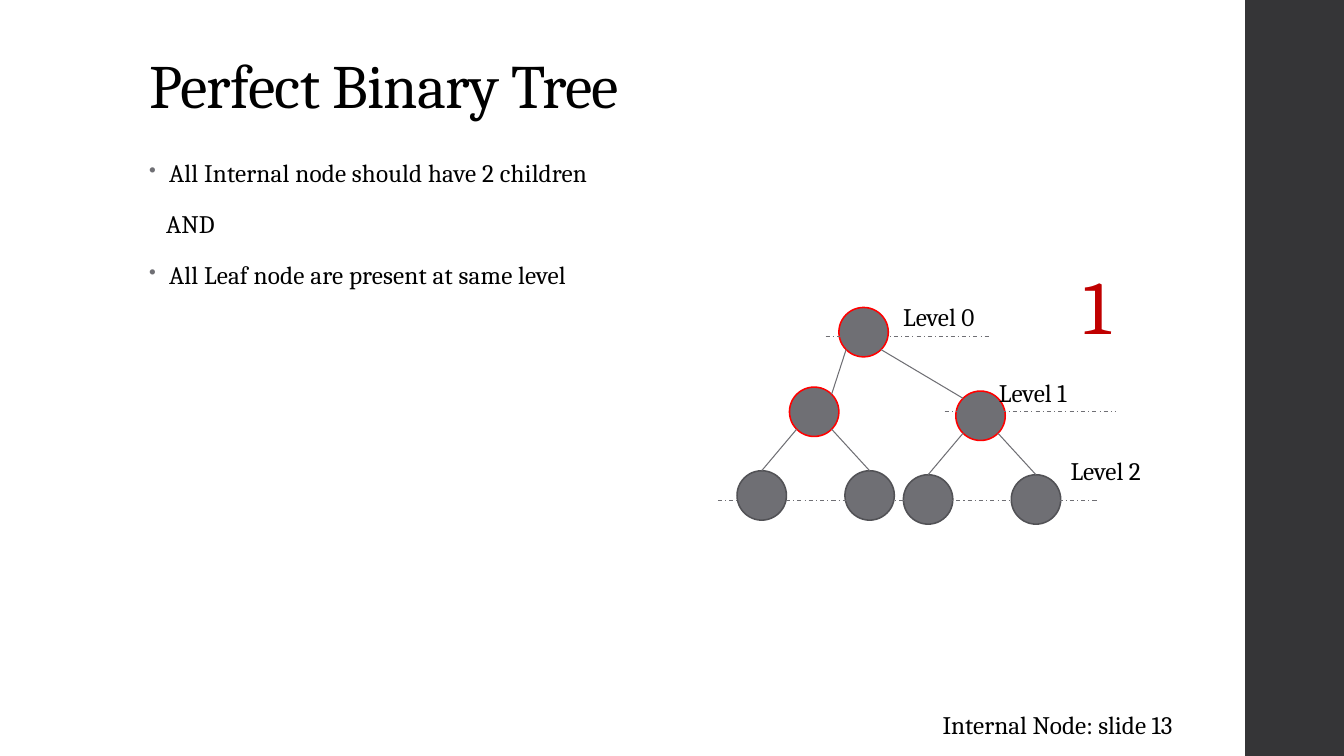
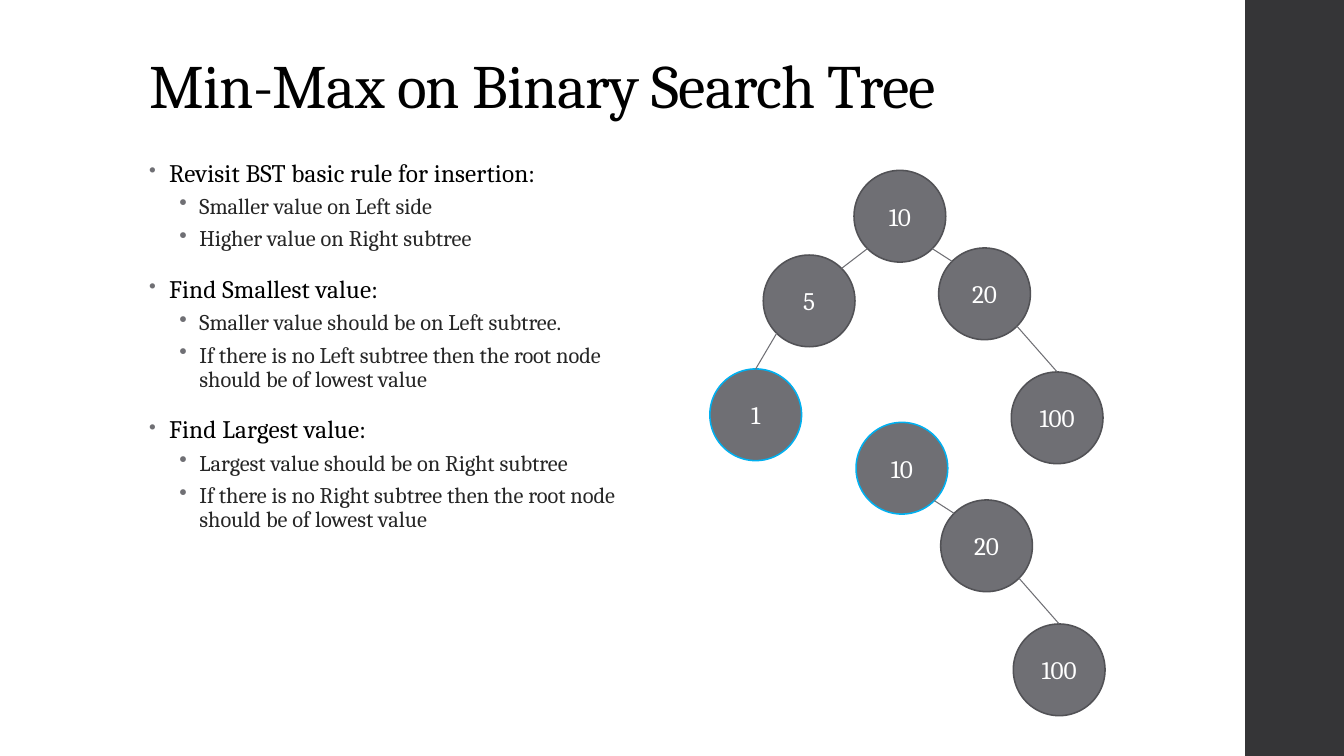
"""Build two slides on binary trees."""
from dataclasses import dataclass
from math import sqrt

from lxml import etree
from pptx import Presentation
from pptx.dml.color import RGBColor
from pptx.enum import dml, shapes, text
from pptx.oxml.ns import qn
from pptx.util import Inches, Pt


@dataclass(frozen=True)
class Theme:
    """Colours and type sizes of the deck."""
    font: str = "Cambria"
    band: str = "353537"
    ink: str = "000000"
    soft_ink: str = "262626"
    white: str = "FFFFFF"
    grey: str = "6F6F74"
    outline: str = "525256"
    internal: str = "FF0000"
    found: str = "00B0F0"
    number: str = "C00000"
    title_size: float = 44
    body_size: float = 18
    sub_size: float = 16
    number_size: float = 54


@dataclass(frozen=True)
class Node:
    """A tree node with its place, outline and parent."""
    left: float
    top: float
    label: str = ""
    outline: str = "525256"
    parent: "Node" = None


THEME = Theme()
CORNER = (1 - sqrt(0.5)) / 2


def rgb(colour):
    """Turn a hex string into a colour."""
    return RGBColor.from_string(colour)


def box(left, top, width, height):
    """Give a rectangle in inches as lengths."""
    return [Inches(value) for value in (left, top, width, height)]


def style(paragraph, size, colour, tracking=0.0):
    """Set the font of a whole paragraph."""
    font = paragraph.font
    font.name, font.size = THEME.font, Pt(size)
    font.color.rgb = rgb(colour)
    if tracking:
        properties = paragraph._p.get_or_add_pPr().find(qn("a:defRPr"))
        properties.set("spc", str(round(tracking * 100)))


def add_bullet(paragraph, size_percent):
    """Give a paragraph a grey round bullet."""
    properties = paragraph._p.get_or_add_pPr()
    colour = etree.SubElement(properties, qn("a:buClr"))
    etree.SubElement(colour, qn("a:srgbClr"), val=THEME.grey)
    etree.SubElement(properties, qn("a:buSzPct"), val=str(size_percent * 1000))
    etree.SubElement(properties, qn("a:buChar"), char="•")


def indent(paragraph, margin, first_line=0.0):
    """Set the left margin and the first-line indent."""
    properties = paragraph._p.get_or_add_pPr()
    properties.set("marL", str(Inches(margin)))
    properties.set("indent", str(Inches(first_line)))


def add_band(presentation, layout, slide):
    """Put the dark side band on the shared layout."""
    band = slide.shapes.add_shape(
        shapes.MSO_SHAPE.RECTANGLE, *box(12.35, 0, 0.98, 7.5))
    band.shadow.inherit = False
    band.fill.solid()
    band.fill.fore_color.rgb = rgb(THEME.band)
    band.line.fill.background()
    layout.shapes.element.append(band.element)


def set_title(slide, wording):
    """Place and format the slide title."""
    title = slide.shapes.title
    title.left, title.top, title.width, title.height = box(1.38, 0.4, 10.6, 0.86)
    frame = title.text_frame
    frame.text = wording
    frame.auto_size = text.MSO_AUTO_SIZE.NONE
    frame.vertical_anchor = text.MSO_ANCHOR.BOTTOM
    paragraph = frame.paragraphs[0]
    paragraph.alignment = text.PP_ALIGN.LEFT
    paragraph.line_spacing = 0.9
    style(paragraph, THEME.title_size, THEME.ink, -0.5)


def add_body(slide, width, height, items):
    """Add a list of (kind, wording) items: point, sub or plain."""
    frame = slide.shapes.add_textbox(*box(1.38, 1.53, width, height)).text_frame
    frame.word_wrap = True
    for index, (kind, wording) in enumerate(items):
        paragraph = frame.add_paragraph() if index else frame.paragraphs[0]
        paragraph.text = wording
        is_sub = kind == "sub"
        if kind == "plain":
            indent(paragraph, 0.17)
        else:
            indent(paragraph, 0.5 if is_sub else 0.2, -0.2)
            add_bullet(paragraph, 100 if is_sub else 80)
        paragraph.line_spacing = 0.9 if is_sub else 0.95
        if index:
            paragraph.space_before = Pt(3 if is_sub else 14)
        paragraph.space_after = Pt(3 if is_sub else 2)
        if is_sub:
            paragraph.level = 1
            style(paragraph, THEME.sub_size, THEME.soft_ink)
        else:
            style(paragraph, THEME.body_size, THEME.ink, 0.1)


def add_label(slide, wording, place, size=THEME.body_size, colour=THEME.ink,
              alignment=text.PP_ALIGN.LEFT):
    """Add a one-line label."""
    frame = slide.shapes.add_textbox(*box(*place)).text_frame
    frame.word_wrap = True
    paragraph = frame.paragraphs[0]
    paragraph.text = wording
    paragraph.alignment = alignment
    style(paragraph, size, colour)


def add_line(slide, start, end, dash=None):
    """Draw a thin grey line."""
    line = slide.shapes.add_connector(
        shapes.MSO_CONNECTOR.STRAIGHT, *box(*start, *end))
    line.line.color.rgb = rgb(THEME.grey)
    line.line.width = Pt(0.75)
    if dash:
        line.line.dash_style = dash
    etree.SubElement(line.element.spPr, qn("a:effectLst"))


def add_node(slide, node, diameter):
    """Draw one round node."""
    circle = slide.shapes.add_shape(
        shapes.MSO_SHAPE.OVAL, *box(node.left, node.top, diameter, diameter))
    circle.shadow.inherit = False
    circle.fill.solid()
    circle.fill.fore_color.rgb = rgb(THEME.grey)
    circle.line.color.rgb = rgb(node.outline)
    circle.line.width = Pt(1.1)
    if node.label:
        frame = circle.text_frame
        frame.word_wrap = False
        frame.vertical_anchor = text.MSO_ANCHOR.MIDDLE
        paragraph = frame.paragraphs[0]
        paragraph.text = node.label
        paragraph.alignment = text.PP_ALIGN.CENTER
        style(paragraph, THEME.body_size, THEME.white)


def node_point(node, diameter, across, down):
    """Find a point at fractions of a node's box."""
    return node.left + across * diameter, node.top + down * diameter


def add_tree(slide, nodes, diameter):
    """Draw nodes and edges; an edge meets a leaf at its top."""
    parents = [node.parent for node in nodes]
    for node in nodes:
        add_node(slide, node, diameter)
        if node.parent:
            near, far = CORNER, 1 - CORNER
            if node.left < node.parent.left:
                near, far = far, near
            start = node_point(node.parent, diameter, far, 1 - CORNER)
            end = (node_point(node, diameter, near, CORNER) if node in parents
                   else node_point(node, diameter, 0.5, 0))
            add_line(slide, start, end)


def build_perfect_tree(slide):
    """Fill the slide on perfect binary trees."""
    set_title(slide, "Perfect Binary Tree")
    add_body(slide, 9.4, 5.23, [
        ("point", "All Internal node should have 2 children"),
        ("plain", "AND"),
        ("point", "All Leaf node are present at same level"),
    ])
    root = Node(8.32, 3.05, outline=THEME.internal)
    nodes = [root]
    for left, top in ((7.83, 3.84), (9.48, 3.88)):
        branch = Node(left, top, outline=THEME.internal, parent=root)
        leaves = [Node(left + shift, top + 0.83, parent=branch)
                  for shift in (-0.52, 0.55)]
        nodes += [branch, *leaves]
    add_tree(slide, nodes, 0.49)

    levels = [(8.19, 9.82, 3.34, (8.86, 2.94)),
              (9.37, 11.07, 4.08, (9.81, 3.69)),
              (7.12, 10.88, 4.97, (10.52, 4.47))]
    for level, (left, right, height, corner) in enumerate(levels):
        add_line(slide, (left, height), (right, height),
                 dml.MSO_LINE.DASH_DOT)
        add_label(slide, f"Level {level}", (*corner, 1.46, 0.4))
    add_label(slide, "1", (10.57, 2.52, 0.62, 1.01), THEME.number_size,
              THEME.number, text.PP_ALIGN.CENTER)
    add_label(slide, "Internal Node: slide 13", (9.25, 6.99, 2.88, 0.4))


def build_search_tree(slide):
    """Fill the slide on the smallest and largest values."""
    set_title(slide, "Min-Max on Binary Search Tree")
    add_body(slide, 5.34, 3.94, [
        ("point", "Revisit BST basic rule for insertion:"),
        ("sub", "Smaller value on Left side"),
        ("sub", "Higher value on Right subtree"),
        ("point", "Find Smallest value:"),
        ("sub", "Smaller value should be on Left subtree."),
        ("sub", "If there is no Left subtree then the root node should be "
                "of lowest value"),
        ("point", "Find Largest value:"),
        ("sub", "Largest value should be on Right subtree"),
        ("sub", "If there is no Right subtree then the root node should be "
                "of lowest value"),
    ])
    chains = []
    for left, top, outline in ((8.47, 1.69, THEME.outline),
                               (8.49, 4.19, THEME.found)):
        ten = Node(left, top, "10", outline)
        twenty = Node(left + 0.84, top + 0.77, "20", parent=ten)
        hundred = Node(left + 1.56, top + 2, "100", parent=twenty)
        chains.append([ten, twenty, hundred])
    full, right_only = chains
    five = Node(7.57, 2.53, "5", parent=full[0])
    one = Node(7.04, 3.66, "1", THEME.found, five)
    for nodes in (full + [five, one], right_only):
        add_tree(slide, nodes, 0.91)


def main():
    """Build and save the presentation."""
    presentation = Presentation()
    presentation.slide_width, presentation.slide_height = Inches(13.33), Inches(7.5)
    layout = presentation.slide_layouts[5]
    slides = [presentation.slides.add_slide(layout) for _ in range(2)]
    add_band(presentation, layout, slides[0])
    build_perfect_tree(slides[0])
    build_search_tree(slides[1])
    presentation.save("out.pptx")


if __name__ == "__main__":
    main()
